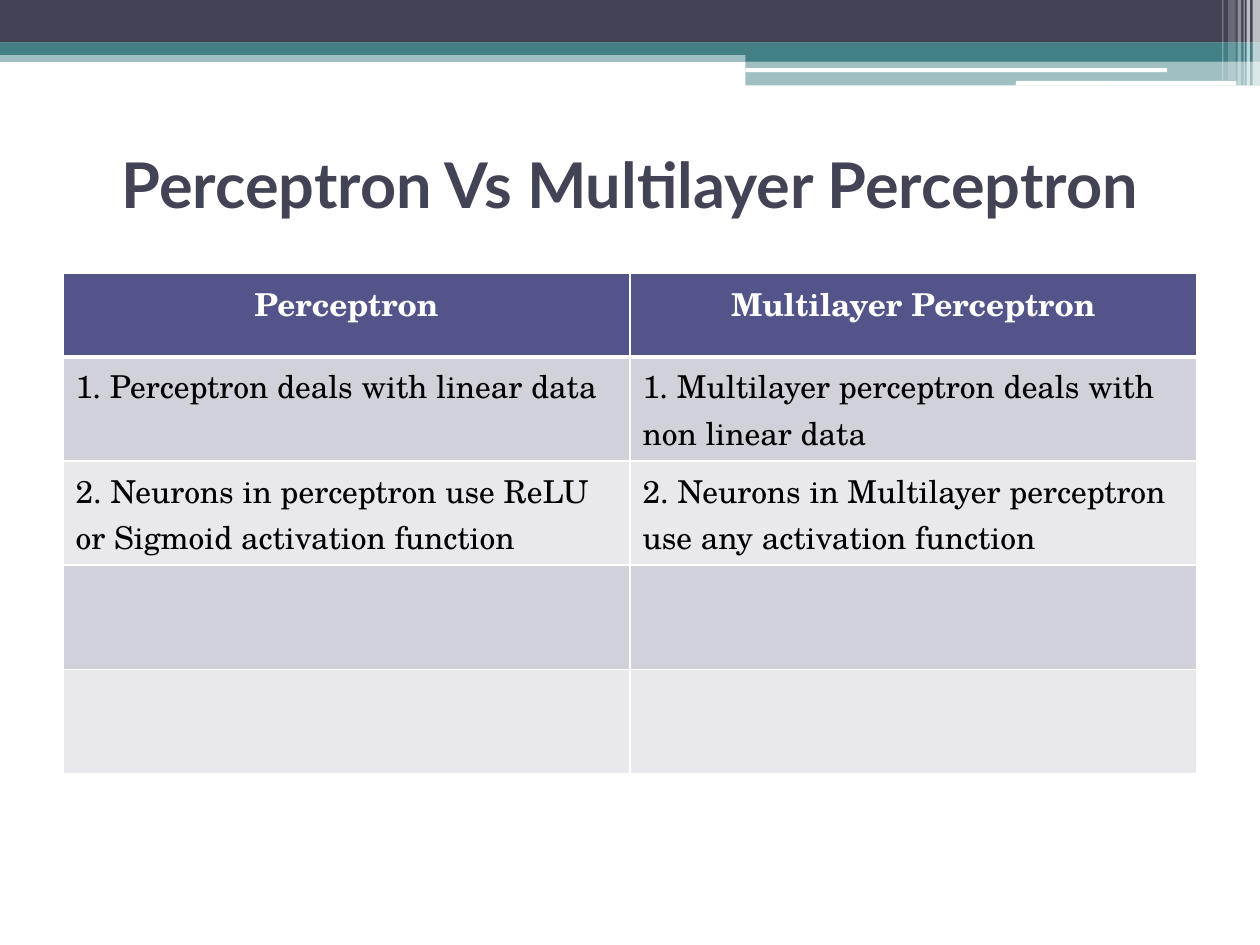
from dataclasses import dataclass

from lxml.etree import SubElement
from pptx import Presentation
from pptx.dml.color import RGBColor as RGB
from pptx.enum.shapes import MSO_SHAPE as Form
from pptx.enum.text import MSO_ANCHOR as Anchor, PP_ALIGN as Align
from pptx.oxml.ns import qn
from pptx.util import Pt


@dataclass(frozen=True)
class Theme:
    """Colours, fonts and type sizes of the deck."""
    white: str = "FFFFFF"
    black: str = "000000"
    navy: str = "424456"
    teal: str = "438086"
    head: str = "53548A"
    bands: tuple = ("D1D1DA", "E9E9ED")
    title_font: str = "Lato"
    body_font: str = "TeX Gyre Schola"
    title_size: int = 36
    body_size: int = 18


THEME = Theme()
ROWS = [
    ("Perceptron", "Multilayer Perceptron"),
    ("1. Perceptron deals with linear data",
     "1. Multilayer perceptron deals with non linear data"),
    ("2. Neurons in perceptron use ReLU or Sigmoid activation function",
     "2. Neurons in Multilayer perceptron use any activation function"),
    ("", ""),
    ("", ""),
]


def add_bar(slide, box, color, alpha=100, form=Form.RECTANGLE):
    """Add a plain filled bar with the given opacity in percent."""
    bar = slide.shapes.add_shape(form, *map(Pt, box))
    bar.shadow.inherit = False
    bar.fill.solid()
    bar.fill.fore_color.rgb = RGB.from_string(color)
    bar.line.fill.background()
    if alpha < 100:
        tint = next(bar.element.spPr.iter(qn("a:srgbClr")))
        SubElement(tint, qn("a:alpha"), val=str(alpha * 1000))
    return bar


def style_text(para, text, align, **font):
    """Write one run and format it from a dict of font values."""
    para.alignment = align
    run = para.add_run()
    run.text = text
    color = font.pop("color")
    for key, value in font.items():
        setattr(run.font, key, value)
    run.font.color.rgb = RGB.from_string(color)


def add_banner(slide, box):
    """Draw the banded strip, its tab and the fading stripes at the right."""
    left, top, width, height = box
    right = left + width
    tab = left + 426
    span = right - tab
    bars = [
        (left, 28.6, width, 6.8, THEME.teal, 50),
        (left, 0, width, 24.4, THEME.navy, 100),
        (left, 24.2, width, 7.2, THEME.teal, 100),
        (tab, 28, span, 7.2, THEME.teal, 100),
        (tab, 35.2, span, 13.6, THEME.teal, 50),
    ]
    for x, y, wide, tall, color, alpha in bars:
        add_bar(slide, (x, top + y, wide, tall), color, alpha)
    for x, y, wide, tall in [(tab, 39, 241, 2.2), (left + 580.5, 46.3, 126, 2.6)]:
        bar = add_bar(slide, (x, top + y, wide, tall), THEME.white,
                      form=Form.ROUNDED_RECTANGLE)
        bar.adjustments[0] = 0.167
    stripes = [(4.2, 4.2, 0, 65), (7.7, 2, 0, 65), (9.4, 0.7, 0, 60),
               (12.8, 2, 0, 40), (18.2, 4.3, 2.8, 20), (21.6, 0.7, 2.8, 30)]
    for back, wide, cut, alpha in stripes:
        add_bar(slide, (right - back, top, wide, height - cut), THEME.white, alpha)


def add_title(slide, box, text):
    """Add the centred slide title."""
    frame = slide.shapes.add_textbox(*map(Pt, box)).text_frame
    frame.word_wrap = True
    frame.vertical_anchor = Anchor.MIDDLE
    style_text(frame.paragraphs[0], text, Align.CENTER, name=THEME.title_font,
               size=Pt(THEME.title_size), bold=True, color=THEME.navy)


def add_edges(cell, widths):
    """Give a cell white borders of the given widths in points."""
    props = cell._tc.get_or_add_tcPr()
    for side, width in widths.items():
        edge = SubElement(props, qn(f"a:ln{side}"), w=str(Pt(width)))
        fill = SubElement(edge, qn("a:solidFill"))
        SubElement(fill, qn("a:srgbClr"), val=THEME.white)


def add_grid(slide, box, rows, top_row):
    """Add the comparison table with a header and banded rows."""
    width, height = box[2:]
    cols = len(rows[0])
    table = slide.shapes.add_table(len(rows), cols, *map(Pt, box)).table
    for col in table.columns:
        col.width = Pt(width / cols)
    for i, row in enumerate(rows):
        head = i == 0
        tall = top_row if head else (height - top_row) / (len(rows) - 1)
        table.rows[i].height = Pt(tall)
        tone = THEME.head if head else THEME.bands[(i - 1) % 2]
        for j, text in enumerate(row):
            cell = table.cell(i, j)
            add_edges(cell, {"L": 1, "R": 1, "T": 3 if i == 1 else 1,
                             "B": 3 if head else 1})
            cell.fill.solid()
            cell.fill.fore_color.rgb = RGB.from_string(tone)
            if text:
                style_text(cell.text_frame.paragraphs[0], text,
                           Align.CENTER if head else Align.LEFT,
                           name=THEME.body_font, size=Pt(THEME.body_size),
                           bold=head, color=THEME.white if head else THEME.black)


def main():
    """Build the slide and save it."""
    deck = Presentation()
    deck.slide_width, deck.slide_height = Pt(720), Pt(540)
    slide = deck.slides.add_slide(deck.slide_layouts[6])
    add_banner(slide, (0, 0, 720, 48.8))
    add_title(slide, (36, 78, 648, 54), "Perceptron Vs Multilayer Perceptron")
    add_grid(slide, (36, 156, 648, 286), ROWS, 48)
    deck.save("out.pptx")


if __name__ == "__main__":
    main()
